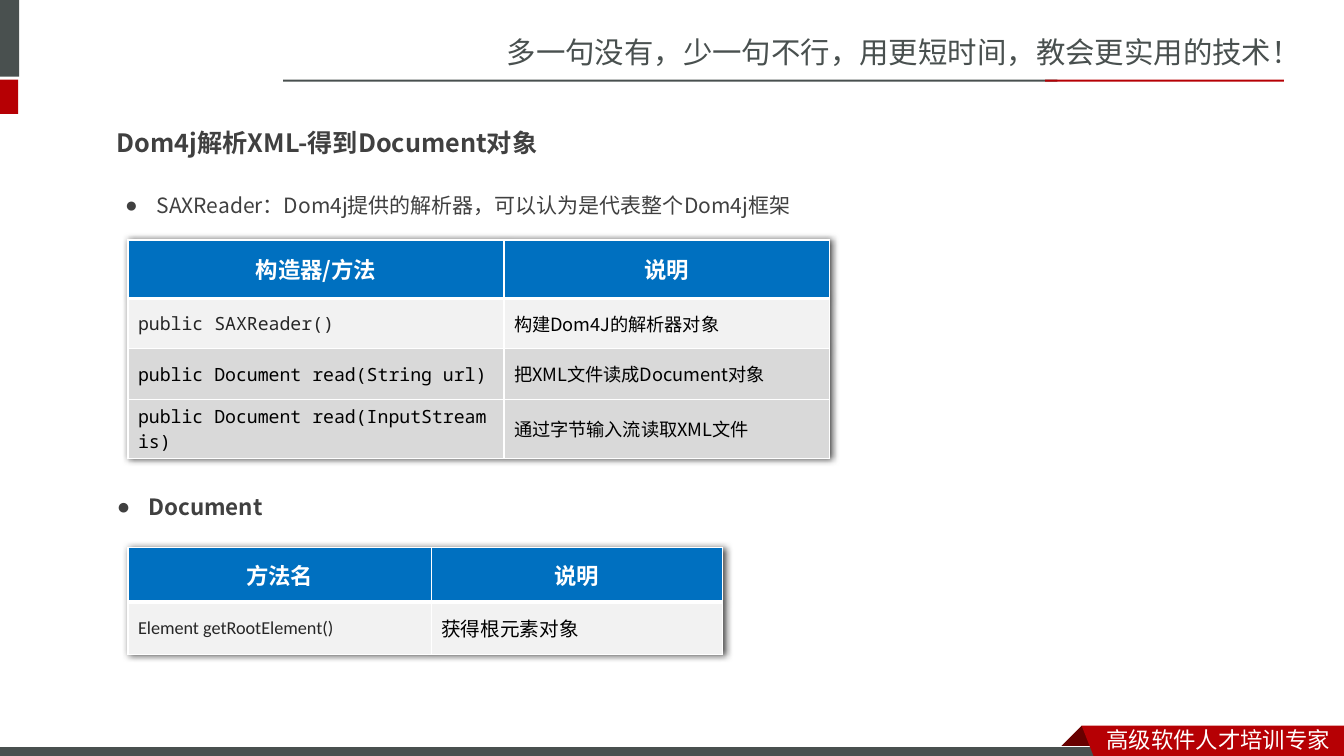
from lxml.etree import SubElement, Element
from pptx import Presentation
from pptx.dml.color import RGBColor
from pptx.enum.shapes import MSO_SHAPE as Shape
from pptx.enum.text import MSO_ANCHOR as Anchor, MSO_AUTO_SIZE as AutoSize, PP_ALIGN as Align
from pptx.oxml.ns import qn
from pptx.util import Pt

SLATE = RGBColor(0x49, 0x50, 0x4F)
RED = RGBColor(0xB6, 0x00, 0x04)
DARK_RED = RGBColor(0x68, 0x00, 0x00)
WHITE = RGBColor(0xFF, 0xFF, 0xFF)
BLACK = RGBColor(0x00, 0x00, 0x00)
INK = RGBColor(0x40, 0x40, 0x40)
CODE_INK = RGBColor(0x26, 0x26, 0x26)
BLUE = RGBColor(0x00, 0x70, 0xC0)
PALE = RGBColor(0xF2, 0xF2, 0xF2)
GREY = RGBColor(0xD9, 0xD9, 0xD9)
SANS = "Noto Sans CJK SC"
SANS_JP = "Noto Sans CJK JP"
MONO = "Noto Sans Mono"
CALIBRI = "Calibri"


def write(frame, text, size=16, font=SANS_JP, color=INK, bold=False,
          align=Align.LEFT, bullet=False, leading=1.0):
    para = frame.paragraphs[0]
    para.alignment = align
    para.line_spacing = leading
    para.space_before = Pt(0)
    if bullet:
        properties = para._p.get_or_add_pPr()
        properties.set("marL", str(Pt(22.5)))
        properties.set("indent", str(Pt(-22.5)))
        SubElement(properties, qn("a:buChar"), char="●")
    span = para.add_run()
    span.text = text
    span.font.size = Pt(size)
    span.font.bold = bold
    span.font.color.rgb = color
    span.font.name = font
    east_font = SANS if font == CALIBRI else font
    SubElement(span._r.get_or_add_rPr(), qn("a:ea"), typeface=east_font)


def fill_text(shape, box, text, **style):
    shape.left, shape.top, shape.width, shape.height = map(Pt, box)
    frame = shape.text_frame
    frame.word_wrap = True
    frame.auto_size = AutoSize.NONE
    frame.vertical_anchor = Anchor.MIDDLE
    write(frame, text, **style)


def add_text(page, box, text, **style):
    fill_text(page.shapes.add_textbox(*map(Pt, box)), box, text, **style)


def paint(shape, color, outline=None):
    shape.shadow.inherit = False
    shape.fill.solid()
    shape.fill.fore_color.rgb = color
    if outline is None:
        shape.line.fill.background()
    else:
        shape.line.color.rgb = outline
        shape.line.width = Pt(0.75)


def add_bar(page, box, color, outline=None):
    paint(page.shapes.add_shape(Shape.RECTANGLE, *map(Pt, box)), color, outline)


def add_outline(page, left, top, points, color):
    corners = [(Pt(left + x), Pt(top + y)) for x, y in points]
    builder = page.shapes.build_freeform(*corners[0], scale=1.0)
    builder.add_line_segments(corners[1:], close=True)
    paint(builder.convert_to_shape(), color)


def add_header(page, left, top, width):
    add_text(page, (left + 152.6, top - 36.7, 605.5, 34),
             "多一句没有，少一句不行，用更短时间，教会更实用的技术！",
             size=21, font=SANS, color=SLATE)
    add_bar(page, (-4.3, 0, 18, 54.7), SLATE)
    add_bar(page, (-4.3, top, 17.3, 24.5), RED)
    add_bar(page, (left, top, 553, 1.4), SLATE)
    add_bar(page, (left + width - 170.6, top, 170.6, 1.4), RED)


def add_footer(page, left, top, width):
    add_outline(page, left, top,
                [(0, 0), (15.8, 15.8), (15.1, 16.6), (-15.1, 16.6), (-15.8, 15.8)],
                DARK_RED)
    add_bar(page, (-0.7, top + 15.1, 792, 8.6), SLATE, outline=WHITE)
    add_outline(page, left, top,
                [(0, 0), (width, 0), (width, 24.5), (9.4, 23.8)], RED)
    add_text(page, (left + 10.8, top - 3.6, width - 10.8, 26.6),
             "高级软件人才培训专家", size=16, font=SANS, color=WHITE)


def add_border(cell, side, width):
    line = SubElement(cell._tc.get_or_add_tcPr(), qn(f"a:ln{side}"), w=str(Pt(width)))
    solid = SubElement(line, qn("a:solidFill"))
    SubElement(solid, qn("a:srgbClr"), val=str(WHITE))


def add_table_shadow(table):
    effects = Element(qn("a:effectLst"))
    table._tbl.tblPr.insert(0, effects)
    shadow = SubElement(effects, qn("a:outerShdw"), blurRad=str(Pt(5)),
                        dist=str(Pt(1)), dir="0", algn="ctr", rotWithShape="0")
    tint = SubElement(shadow, qn("a:srgbClr"), val=str(BLACK))
    SubElement(tint, qn("a:alpha"), val="70000")


def add_method_table(page, left, top, widths, heights, rows, fills, styles):
    table = page.shapes.add_table(len(rows), len(widths), Pt(left), Pt(top),
                                  Pt(sum(widths)), Pt(sum(heights))).table
    table.first_row = False
    table.horz_banding = False
    add_table_shadow(table)
    for column, width in zip(table.columns, widths):
        column.width = Pt(width)
    for index, (row, height) in enumerate(zip(table.rows, heights)):
        row.height = Pt(height)
        for cell, text, style in zip(row.cells, rows[index], styles[index]):
            for side in "LRTB":
                thick = (index, side) in ((0, "B"), (1, "T"))
                add_border(cell, side, 3 if thick else 1)
            cell.fill.solid()
            cell.fill.fore_color.rgb = fills[index]
            cell.vertical_anchor = Anchor.MIDDLE
            write(cell.text_frame, text, **style)


def add_reader_section(page, left, top):
    title, bullet = page.placeholders[0], page.placeholders[1]
    fill_text(title, (left, top, 326.9, 41),
              "Dom4j解析XML-得到Document对象", size=18, bold=True, leading=0.83)
    fill_text(bullet, (left + 5.8, top + 51.1, 576, 25.2),
              "SAXReader：Dom4j提供的解析器，可以认为是代表整个Dom4j框架",
              size=15, bullet=True)
    heading = dict(size=16, color=WHITE, bold=True, align=Align.CENTER)
    code = dict(size=13, font=MONO, color=BLACK)
    note = dict(size=13, color=BLACK)
    add_method_table(
        page, left + 15.1, top + 88.6, [268.6, 232.6], [41.8, 36, 36, 36],
        [("构造器/方法", "说明"),
         ("public SAXReader()", "构建Dom4J的解析器对象"),
         ("public Document read(String url)", "把XML文件读成Document对象"),
         ("public Document read(InputStream is)", "通过字节输入流读取XML文件")],
        [BLUE, PALE, GREY, GREY],
        [(heading, heading), (dict(code, color=CODE_INK), note), (code, note), (code, note)])


def add_document_section(page, left, top):
    fill_text(page.placeholders[2], (left, top, 138.2, 26.6), "Document",
              bold=True, bullet=True)
    heading = dict(size=16, font=CALIBRI, color=WHITE, bold=True, align=Align.CENTER)
    add_method_table(
        page, left + 15.1, top + 42.5, [216.7, 208.1], [38.9, 37.8],
        [("方法名", "说明"), ("Element getRootElement()", "获得根元素对象")],
        [BLUE, PALE],
        [(heading, heading),
         (dict(size=13, font=CALIBRI, color=CODE_INK),
          dict(size=14, font=SANS, color=BLACK))])


def main():
    deck = Presentation()
    deck.slide_width, deck.slide_height = Pt(960), Pt(540)
    page = deck.slides.add_slide(deck.slide_layouts.get_by_name("Two Content"))
    add_header(page, 202.3, 56.9, 714.9)
    add_footer(page, 772.6, 518.4, 187.4)
    add_reader_section(page, 76.3, 82.8)
    add_document_section(page, 76.3, 348.5)
    deck.save("out.pptx")


if __name__ == "__main__":
    main()
